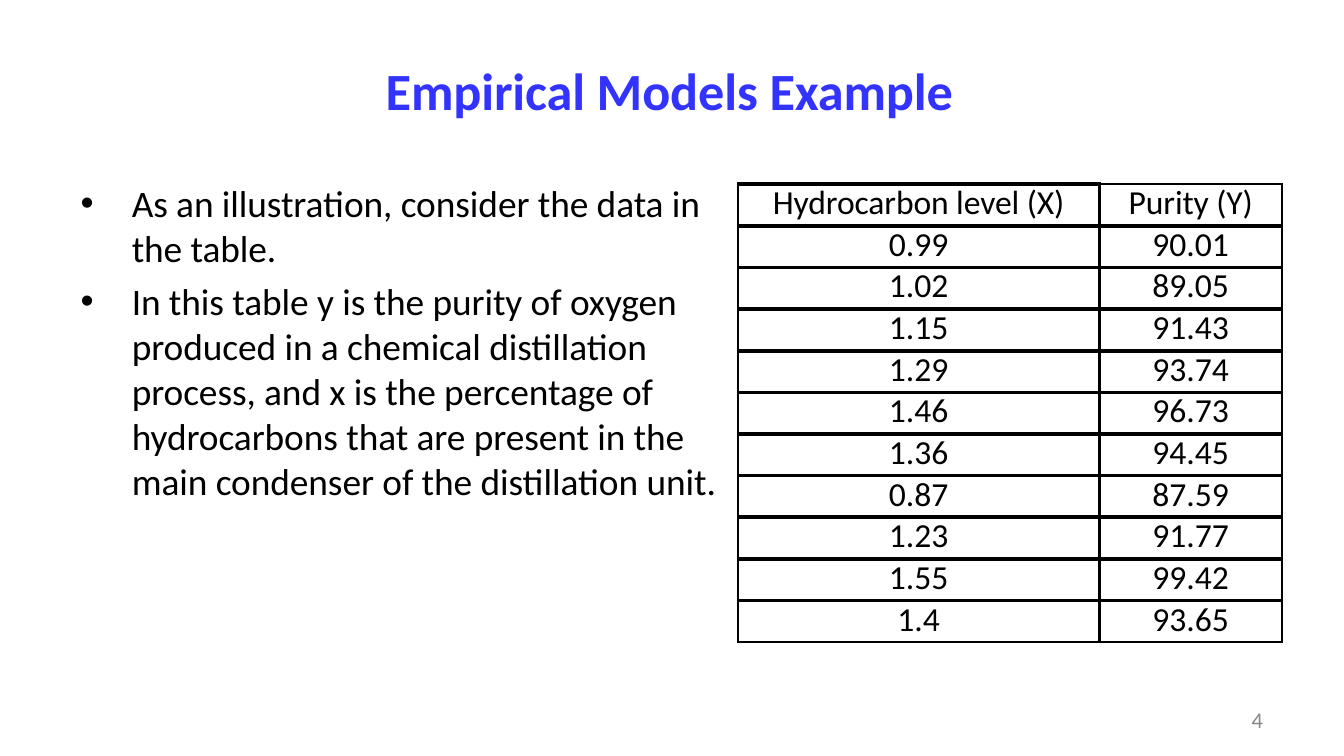
from pptx import Presentation
from pptx.dml.color import RGBColor
from pptx.enum.text import MSO_ANCHOR as Anchor, PP_ALIGN as Align
from pptx.oxml.ns import qn
from pptx.util import Inches, Pt
from lxml.etree import SubElement

BLUE = RGBColor(0x33, 0x33, 0xFF)
BLACK = RGBColor(0, 0, 0)
GRAY = RGBColor(0x88, 0x88, 0x88)
THIN, THICK = Pt(1), Pt(2.25)
MARGINS = ("margin_left", "margin_top", "margin_right", "margin_bottom")

TITLE = "Empirical Models Example"
POINTS = [
    "As an illustration, consider the data in the table.",
    "In this table y is the purity of oxygen produced in a chemical "
    "distillation process, and x is the percentage of hydrocarbons that are "
    "present in the main condenser of the distillation unit.",
]
READINGS = [
    ("Hydrocarbon level (X)", "Purity (Y)"),
    ("0.99", "90.01"),
    ("1.02", "89.05"),
    ("1.15", "91.43"),
    ("1.29", "93.74"),
    ("1.46", "96.73"),
    ("1.36", "94.45"),
    ("0.87", "87.59"),
    ("1.23", "91.77"),
    ("1.55", "99.42"),
    ("1.4", "93.65"),
]


class SlideBuilder:
    font_name = "Calibri"

    def __init__(self, slide):
        self.slide = slide

    def apply(self, target, values):
        for name, value in values.items():
            setattr(target, name, value)

    def style(self, paragraph, text, size, color, bold=False, tracking=0):
        run = paragraph.add_run()
        run.text = text
        self.apply(run.font, {"name": self.font_name, "size": Pt(size), "bold": bold})
        run.font.color.rgb = color
        if tracking:
            run.font._element.set("spc", str(tracking))

    def frame(self, left, top, width, height):
        box = self.slide.shapes.add_textbox(
            Inches(left), Inches(top), Inches(width), Inches(height))
        self.apply(box.text_frame, {"word_wrap": True, **dict.fromkeys(MARGINS, 0)})
        return box.text_frame

    def line(self, place, text, size, color, align=Align.LEFT, spacing=None, **look):
        paragraph = self.frame(*place).paragraphs[0]
        self.apply(paragraph, {"alignment": align, "line_spacing": spacing})
        self.style(paragraph, text, size, color, **look)

    def bullets(self, place, points, size):
        frame = self.frame(*place)
        frame.margin_top = Inches(0.01)
        for index, point in enumerate(points):
            paragraph = frame.add_paragraph() if index else frame.paragraphs[0]
            properties = paragraph._p.get_or_add_pPr()
            properties.set("marL", str(Inches(0.39)))
            properties.set("indent", str(-Inches(0.38)))
            SubElement(properties, qn("a:buFont"), typeface="Arial")
            SubElement(properties, qn("a:buChar"), char="•")
            if index:
                paragraph.space_before = Pt(4.8)
            self.style(paragraph, point, size, BLACK, tracking=-5)

    def borders(self, cell, widths):
        properties = cell._tc.get_or_add_tcPr()
        for side, width in widths.items():
            edge = SubElement(properties, qn(f"a:ln{side}"), w=str(width))
            fill = SubElement(edge, qn("a:solidFill"))
            SubElement(fill, qn("a:srgbClr"), val=str(BLACK))

    def table(self, left, top, widths, row_height, rows, size):
        table = self.slide.shapes.add_table(
            len(rows), len(widths), Inches(left), Inches(top),
            Inches(sum(widths)), Inches(row_height * len(rows))).table
        self.apply(table, {"first_row": False, "horz_banding": False})
        for column, width in zip(table.columns, widths):
            column.width = Inches(width)
        last_row, last_column = len(rows) - 1, len(widths) - 1
        for r, row in enumerate(rows):
            table.rows[r].height = Inches(row_height)
            for c, text in enumerate(row):
                cell = table.cell(r, c)
                self.apply(cell, {"vertical_anchor": Anchor.TOP,
                                  **dict.fromkeys(MARGINS, 0)})
                self.borders(cell, {
                    "L": THICK if c else THIN,
                    "R": THIN if c == last_column else THICK,
                    "T": THIN if r == 0 and c else THICK,
                    "B": THIN if r == last_row else THICK,
                })
                cell.fill.background()
                paragraph = cell.text_frame.paragraphs[0]
                self.apply(paragraph, {"alignment": Align.CENTER,
                                       "line_spacing": Pt(21.2)})
                self.style(paragraph, text, size, BLACK, tracking=0 if r else -5)


def main():
    deck = Presentation()
    deck.slide_width = Inches(10)
    deck.slide_height = deck.slide_width * 9 // 16
    builder = SlideBuilder(deck.slides.add_slide(deck.slide_layouts[6]))
    builder.line((2.87, 0.43, 4.27, 0.49), TITLE, 28, BLUE, bold=True, tracking=-5)
    builder.line((9.27, 5.28, 0.17, 0.19), "4", 12, GRAY, Align.CENTER, Pt(12.4))
    builder.bullets((0.59, 1.33, 4.78, 2.43), POINTS, 20)
    builder.table(5.49, 1.37, (2.69, 1.36), 0.31, READINGS, 18)
    deck.save("out.pptx")


if __name__ == "__main__":
    main()
